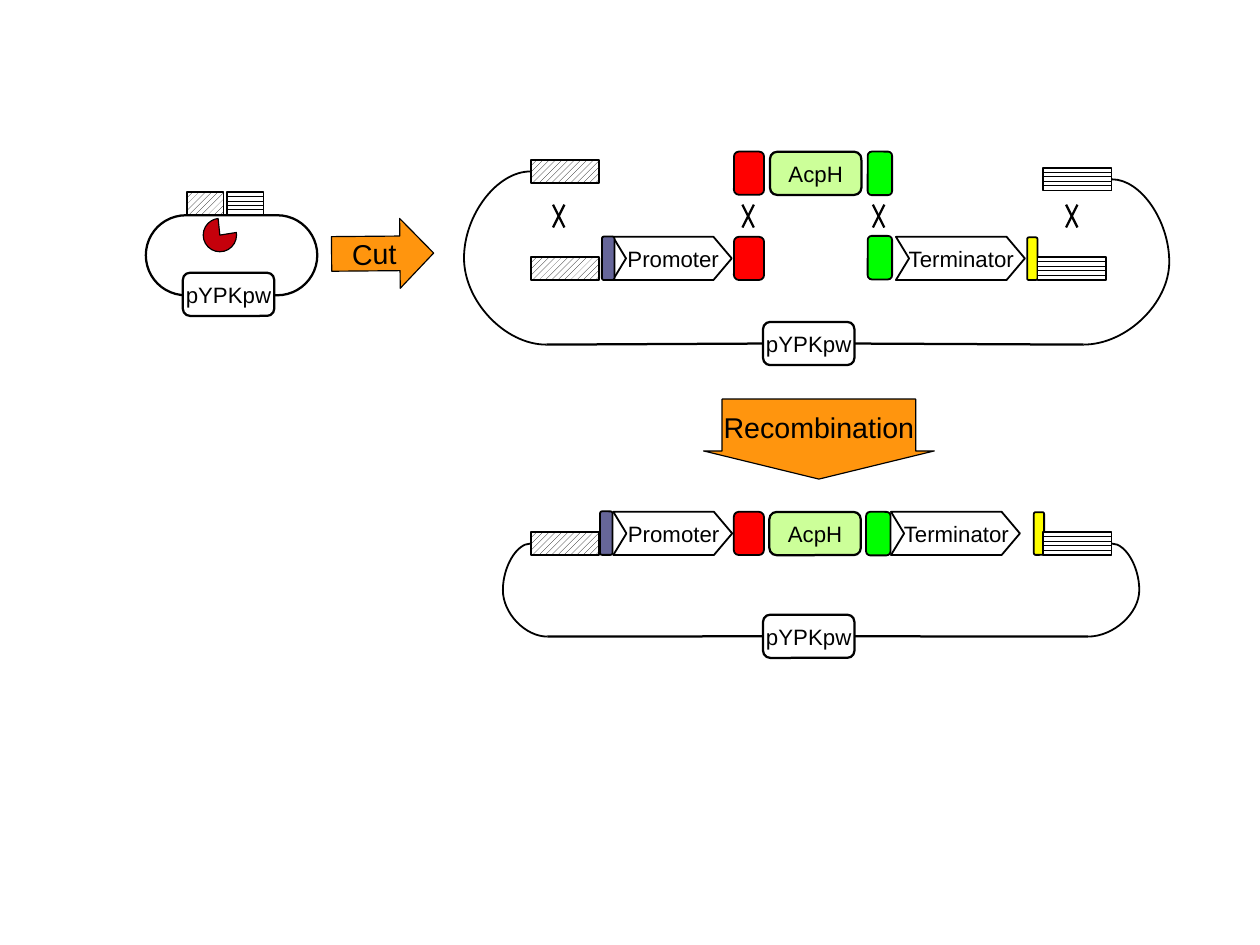
"""Draw the cut and recombination steps of a plasmid as one slide."""
from lxml import etree
from pptx import Presentation
from pptx.dml.color import RGBColor
from pptx.enum import dml, shapes, text
from pptx.oxml.ns import qn
from pptx.util import Pt

INK = {"black": "000000", "white": "FFFFFF", "red": "FF0000", "green": "00FF00",
       "blue": "666699", "yellow": "FFFF00", "lime": "CCFF99", "orange": "FF950E",
       "crimson": "C5000B"}
THIN, BOLD, HAIR = 1.13, 1.42, 0
KIND = shapes.MSO_SHAPE
HATCH = {"slant": dml.MSO_PATTERN.WIDE_UPWARD_DIAGONAL,
         "bars": dml.MSO_PATTERN.HORIZONTAL}

ROUND, RECT = KIND.ROUNDED_RECTANGLE, KIND.RECTANGLE
PARTS = {
    "ring": (ROUND, 108, 50.4, None, BOLD, [0.5], "", 0),
    "enzyme": (KIND.PIE, 21, 21, "crimson", HAIR, [210.6, 158.4], "", 0),
    "slant": (RECT, 43.2, 14.4, "slant", THIN, [], "", 0),
    "bars": (RECT, 43.2, 14.4, "bars", THIN, [], "", 0),
    "short slant": (RECT, 23, 14.4, "slant", THIN, [], "", 0),
    "short bars": (RECT, 23, 14.4, "bars", THIN, [], "", 0),
    "red": (ROUND, 19, 27.2, "red", THIN, [0.167], "", 0),
    "green": (ROUND, 15.4, 27.4, "green", THIN, [0.167], "", 0),
    "blue": (ROUND, 7.9, 27.4, "blue", THIN, [0.167], "", 0),
    "yellow": (ROUND, 6.5, 26.9, "yellow", THIN, [0.167], "", 0),
    "gene": (ROUND, 57.6, 27.2, "lime", BOLD, [0.167], "AcpH", 14),
    "vector": (ROUND, 57.6, 27.2, "white", BOLD, [0.167], "pYPKpw", 14),
    "cut": (KIND.RIGHT_ARROW, 64.3, 44, "orange", HAIR, [0.496, 0.482], "Cut", 18),
    "join": (KIND.DOWN_ARROW, 145.4, 50.4, "orange", HAIR, [0.839, 0.352],
             "Recombination", 18),
}
PLACED = [
    ("ring", 91.9, 135.6), ("enzyme", 128, 137.6), ("short slant", 117.8, 120.9),
    ("short bars", 143, 120.9), ("vector", 115.2, 171.8), ("cut", 208.9, 137.7),
    ("slant", 334.4, 100.8), ("red", 462.4, 95.5), ("gene", 485.1, 95.6),
    ("green", 546.6, 95.5), ("bars", 657.1, 105.7),
    ("slant", 334.4, 161.9), ("blue", 379.2, 149), ("red", 462.4, 149.2),
    ("green", 546.6, 148.6), ("yellow", 647.1, 149.5), ("bars", 653.6, 161.9),
    ("join", 443.2, 251.4),
    ("slant", 334.4, 335.1), ("blue", 378, 322.1), ("red", 462.3, 322.4),
    ("gene", 484.7, 322.5), ("green", 545.6, 322.4), ("yellow", 651.3, 322.6),
    ("bars", 657.1, 335.1),
]
GENES = [("Promoter", 386.1, 149.2, 74.9), ("Terminator", 564.4, 149.2, 81.2),
         ("Promoter", 386.4, 322.4, 74.9), ("Terminator", 561.3, 322.4, 81.2)]
TIP, NOTCH, TALL = 11.5, 8.3, 27.2
CROSS = [352, 471.3, 553.5, 675.2]
LOOPS = [
    (480.7, 202.8, 217.1, [(1, 334.1, 108, 292.3, 344.2), (3, 700.6, 113, 736.6, 682.6)]),
    (480.7, 387.2, 401, [(1, 334.1, 342.4, 316.8, 344.9), (3, 700.6, 342.4, 717.8, 685.4)]),
]

deck = Presentation()
deck.slide_width, deck.slide_height = Pt(793.75), Pt(595.25)
slide = deck.slides.add_slide(deck.slide_layouts[6])
items = slide.shapes


def tint(name):
    return RGBColor.from_string(INK[name])


def dress(shape, fill, width):
    shape.shadow.inherit = False
    if fill is None:
        shape.fill.background()
    elif fill in HATCH:
        shape.fill.patterned()
        shape.fill.pattern = HATCH[fill]
        shape.fill.fore_color.rgb = tint("black")
        shape.fill.back_color.rgb = tint("white")
    else:
        shape.fill.solid()
        shape.fill.fore_color.rgb = tint(fill)
    shape.line.color.rgb = tint("black")
    shape.line.width = Pt(width)


def label(shape, words, size, left=0):
    frame = shape.text_frame
    form = {"word_wrap": False, "vertical_anchor": text.MSO_ANCHOR.MIDDLE,
            "margin_left": Pt(left), "margin_right": 0,
            "margin_top": Pt(3.6), "margin_bottom": Pt(3.6)}
    for key, value in form.items():
        setattr(frame, key, value)
    para = frame.paragraphs[0]
    para.text = words
    para.alignment = text.PP_ALIGN.CENTER
    for key, value in {"name": "Arial", "size": Pt(size)}.items():
        setattr(para.font, key, value)
    para.font.color.rgb = tint("black")


def place(name, x, y):
    kind, w, h, fill, width, bends, words, size = PARTS[name]
    shape = items.add_shape(kind, Pt(x), Pt(y), Pt(w), Pt(h))
    for i, value in enumerate(bends):
        shape.adjustments[i] = value
    dress(shape, fill, width)
    if words:
        label(shape, words, size)
    return shape


def link(kind, x1, y1, x2, y2, width):
    line = items.add_connector(kind, Pt(x1), Pt(y1), Pt(x2), Pt(y2))
    line.line.color.rgb = tint("black")
    line.line.width = Pt(width)
    etree.SubElement(line._element.spPr, qn("a:effectLst"))
    return line


def curve(x1, y1, bend, x2, y2):
    line = link(shapes.MSO_CONNECTOR.CURVE, x1, y1, x2, y2, THIN)
    geom = line._element.spPr.find(qn("a:prstGeom"))
    marks = geom.find(qn("a:avLst"))
    if marks is None:
        marks = etree.SubElement(geom, qn("a:avLst"))
    ratio = round((bend - x1) / (x2 - x1) * 100000)
    etree.SubElement(marks, qn("a:gd"), name="adj1", fmla=f"val {ratio}")


def gene(words, x, y, w):
    mid, low, neck = y + TALL / 2, y + TALL, x + w - TIP
    points = [(neck, y), (x + w, mid), (neck, low), (x, low), (x + NOTCH, mid)]
    pen = items.build_freeform(Pt(x), Pt(y))
    pen.add_line_segments([(Pt(a), Pt(b)) for a, b in points], close=True)
    shape = pen.convert_to_shape()
    dress(shape, None, THIN)
    label(shape, words, 14, 1.2)


STRAIGHT = shapes.MSO_CONNECTOR.STRAIGHT
for x, y, base, sides in LOOPS:
    box = place("vector", x, y)
    for side, x1, y1, bend, x2 in sides:
        curve(x1, y1, bend, x2, base)
        line = link(STRAIGHT, x, base, x2, base, BOLD)
        line.begin_connect(box, side)
for row in GENES:
    gene(*row)
for row in PLACED:
    shape = place(*row)
    if row[0] == "cut":
        shape.rotation = 359.5
for x in CROSS:
    for dx in (-3.6, 3.6):
        link(STRAIGHT, x + dx, 128.9, x - dx, 143.3, BOLD)

deck.save("out.pptx")
